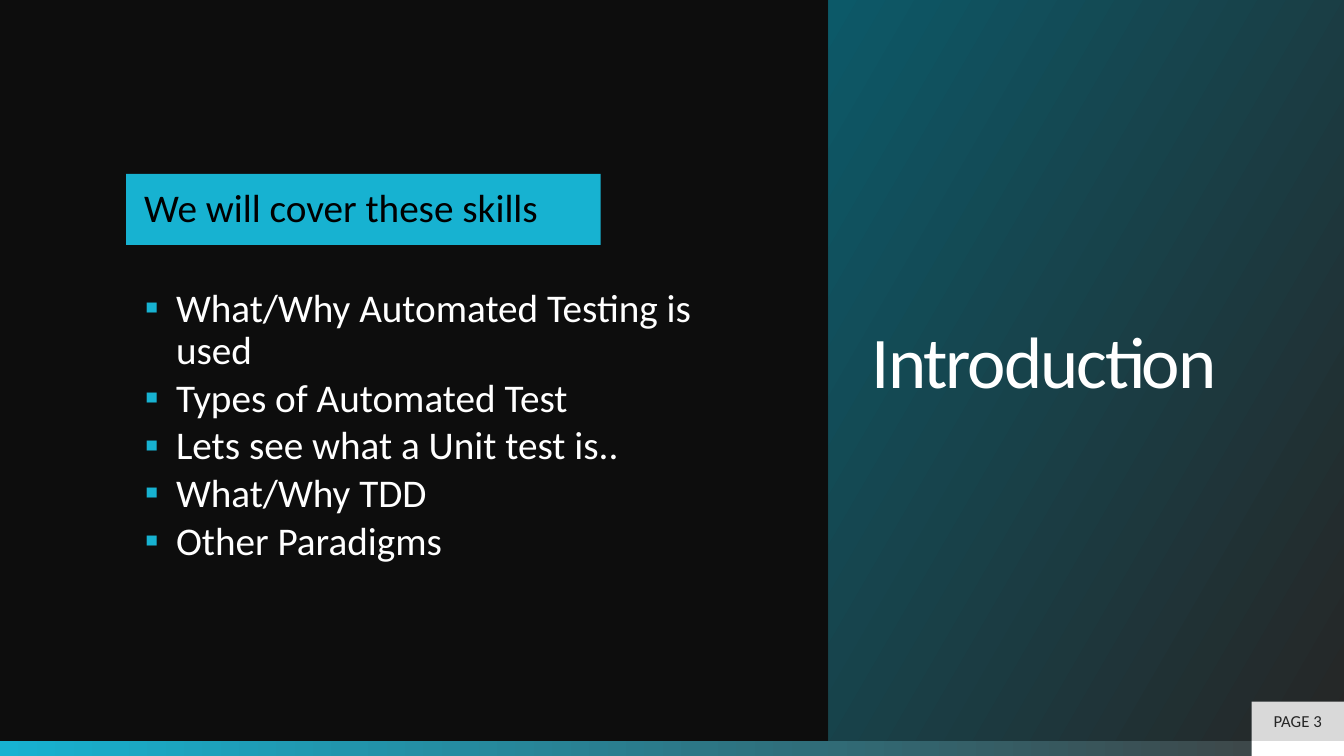
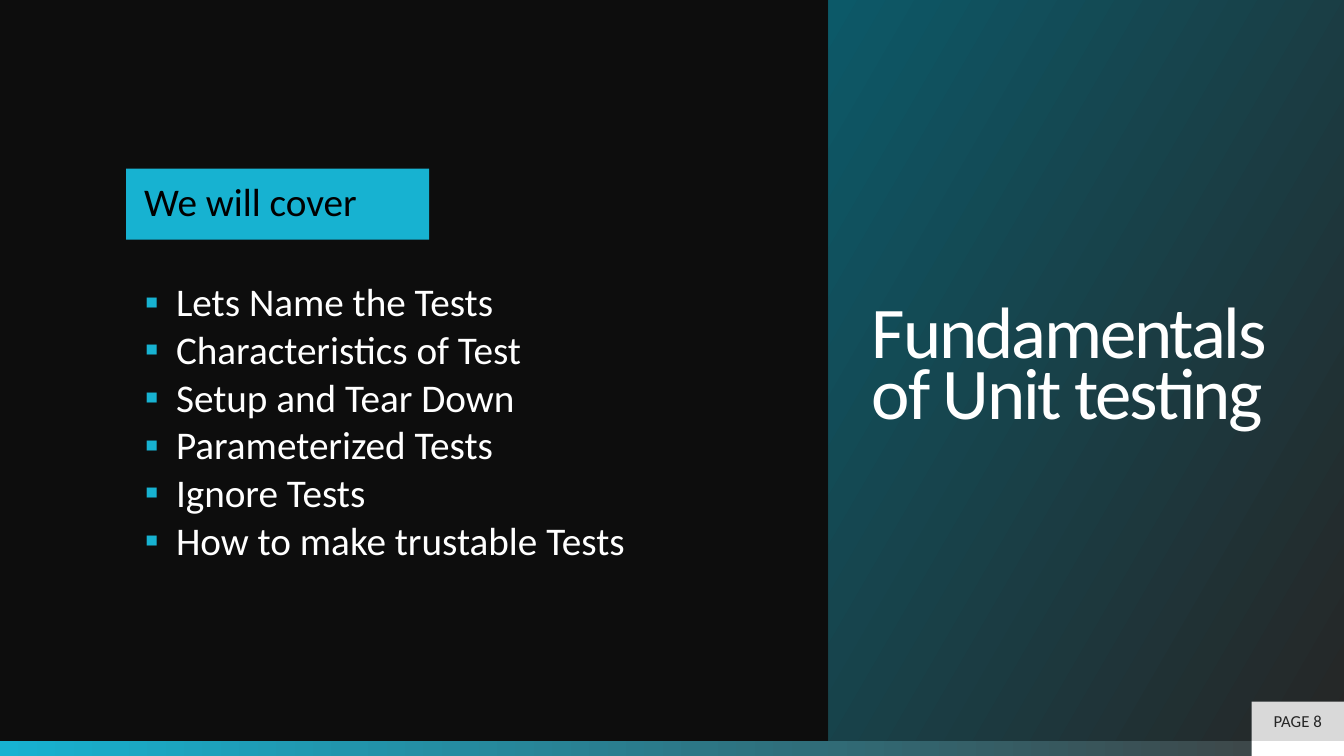
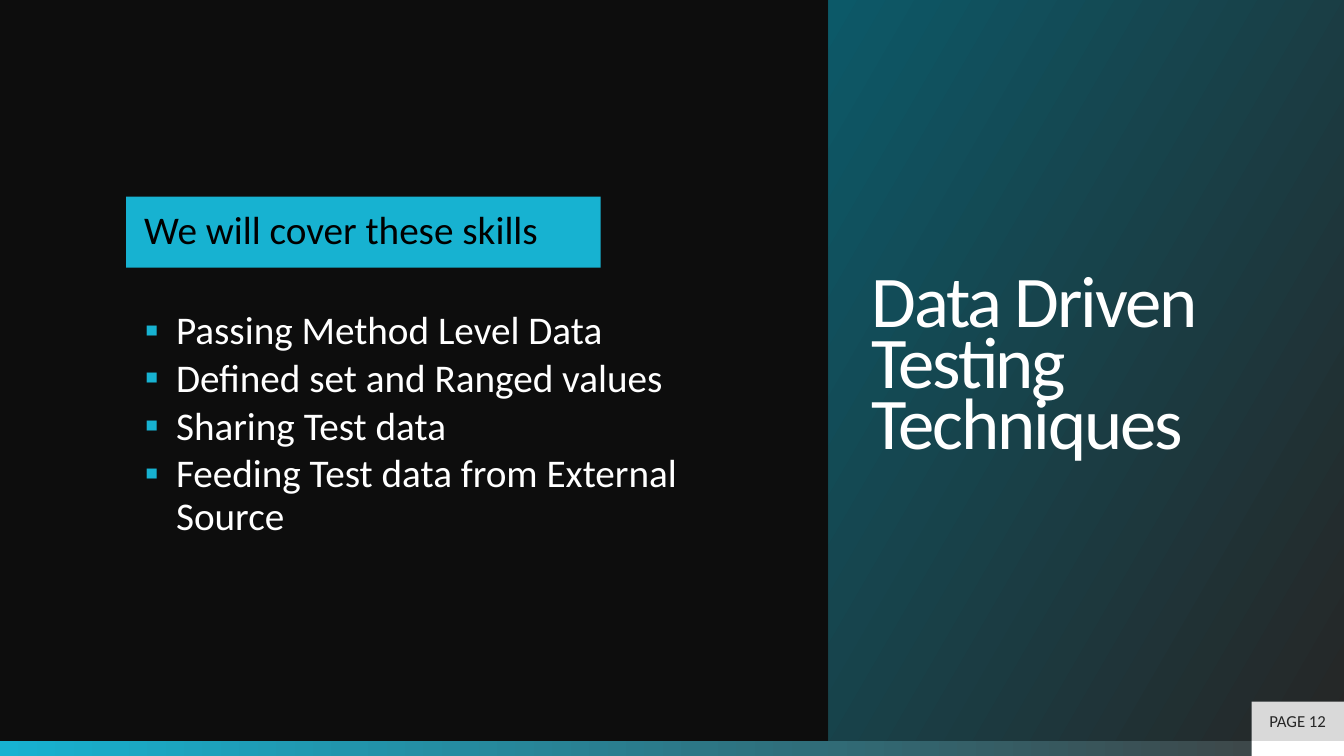
from lxml import etree
from pptx import Presentation, util as u
from pptx.dml.color import RGBColor
from pptx.enum import shapes, text
from pptx.oxml import ns

COLUMNS, ROWS = 160, 50
BAND_TOP = 49
PANEL_LEFT = 98.64
TAG_LEFT = 149
ACCENT, TEAL = "17B2D1", "0C5968"
BLACK, WHITE = "000000", "FFFFFF"
NIGHT, CHARCOAL, GRAY, SILVER = "0D0D0D", "262626", "404040", "D9D9D9"

TOPICS = [
    ("Introduction", 3, "We will cover these skills", 56.5, 30.6, [
        "What/Why Automated Testing is used",
        "Types of Automated Test",
        "Lets see what a Unit test is..",
        "What/Why TDD",
        "Other Paradigms",
    ]),
    ("Fundamentals of Unit testing", 8, "We will cover", 36.1, 31.3, [
        "Lets Name the Tests",
        "Characteristics of Test",
        "Setup and Tear Down",
        "Parameterized Tests",
        "Ignore Tests",
        "How to make trustable Tests",
    ]),
    ("Data Driven Testing Techniques", 12, "We will cover these skills", 56.5, 27.6, [
        "Passing Method Level Data",
        "Defined set and Ranged values",
        "Sharing Test data",
        "Feeding Test data from External Source",
    ]),
]


def rgb(code):
    return RGBColor.from_string(code)


class Deck:
    font = "Calibri"

    def __init__(self):
        self.prs = Presentation()
        self.prs.slide_width = u.Inches(13.333)
        self.prs.slide_height = u.Inches(7.5)
        backdrop = self.prs.slide_master.background.fill
        backdrop.solid()
        backdrop.fore_color.rgb = rgb(NIGHT)
        self.slide = None

    def box(self, left, top, width, height):
        across = self.prs.slide_width / COLUMNS
        down = self.prs.slide_height / ROWS
        return [u.Emu(round(n)) for n in
                (left * across, top * down, width * across, height * down)]

    def paint(self, part, *stops, angle=0):
        if len(stops) == 1:
            part.fill.solid()
            part.fill.fore_color.rgb = rgb(stops[0])
            return
        part.fill.gradient()
        part.fill.gradient_angle = angle
        for stop, code in zip(part.fill.gradient_stops, stops):
            stop.color.rgb = rgb(code)

    def block(self, left, top, width, height, *stops):
        part = self.slide.shapes.add_shape(
            shapes.MSO_SHAPE.RECTANGLE, *self.box(left, top, width, height))
        part.shadow.inherit = False
        part.line.fill.background()
        self.paint(part, *stops)
        return part

    def label(self, part, lines, size, color, insets, spacing=1.0,
              anchor=text.MSO_ANCHOR.MIDDLE, align=text.PP_ALIGN.LEFT):
        frame = part.text_frame
        frame.text = "\n".join(lines)
        frame.word_wrap = True
        frame.auto_size = text.MSO_AUTO_SIZE.NONE
        frame.vertical_anchor = anchor
        (frame.margin_left, frame.margin_top,
         frame.margin_right, frame.margin_bottom) = map(u.Inches, insets)
        for paragraph in frame.paragraphs:
            paragraph.alignment = align
            paragraph.line_spacing = spacing
            for run in paragraph.runs:
                run.font.name = self.font
                run.font.size = u.Pt(size)
                run.font.color.rgb = rgb(color)
        return frame.paragraphs

    def bullet(self, paragraph):
        props = paragraph._p.get_or_add_pPr()
        props.set("marL", str(u.Inches(0.31)))
        props.set("indent", str(-u.Inches(0.31)))
        tint = etree.SubElement(props, ns.qn("a:buClr"))
        etree.SubElement(tint, ns.qn("a:srgbClr"), val=ACCENT)
        etree.SubElement(props, ns.qn("a:buFont"), typeface=self.font)
        etree.SubElement(props, ns.qn("a:buChar"), char="▪")

    def start(self, title, page):
        self.slide = self.prs.slides.add_slide(self.prs.slide_layouts[5])
        self.title(title)
        self.block(0, BAND_TOP, COLUMNS, ROWS - BAND_TOP, ACCENT, GRAY)
        self.block(TAG_LEFT, BAND_TOP, COLUMNS - TAG_LEFT, ROWS - BAND_TOP, WHITE)
        tag = self.block(TAG_LEFT, 46.4, COLUMNS - TAG_LEFT, BAND_TOP - 46.4, SILVER)
        self.label(tag, [f"PAGE {page}"], 12, CHARCOAL, (0.1, 0.05, 0.1, 0.05),
                   align=text.PP_ALIGN.CENTER)

    def title(self, wording):
        panel = self.slide.shapes.title
        panel.left, panel.top, panel.width, panel.height = self.box(
            PANEL_LEFT, 0, COLUMNS - PANEL_LEFT, BAND_TOP)
        self.paint(panel, CHARCOAL, TEAL, angle=150)
        for paragraph in self.label(panel, [wording], 52, WHITE,
                                    (0.43, 0.05, 0.43, 0.05), 0.7):
            for run in paragraph.runs:
                run._r.get_or_add_rPr().set("spc", "-150")

    def agenda(self, heading, heading_width, height, items):
        top = (BAND_TOP - height) / 2
        listing = self.slide.shapes.add_textbox(*self.box(11, top, 80.8, height))
        for paragraph in self.label(listing, items, 28, WHITE,
                                    (0.52, 1.48, 0.52, 0.22), 0.9,
                                    anchor=text.MSO_ANCHOR.TOP):
            paragraph.space_after = u.Pt(3.8)
            self.bullet(paragraph)
        banner = self.block(15, top + 2.3, heading_width, 4.7, ACCENT)
        self.label(banner, [heading], 28, BLACK, (0.18, 0, 0.18, 0), 0.9)


def main():
    deck = Deck()
    for title, page, heading, heading_width, height, items in TOPICS:
        deck.start(title, page)
        deck.agenda(heading, heading_width, height, items)
    deck.prs.save("out.pptx")


if __name__ == "__main__":
    main()
